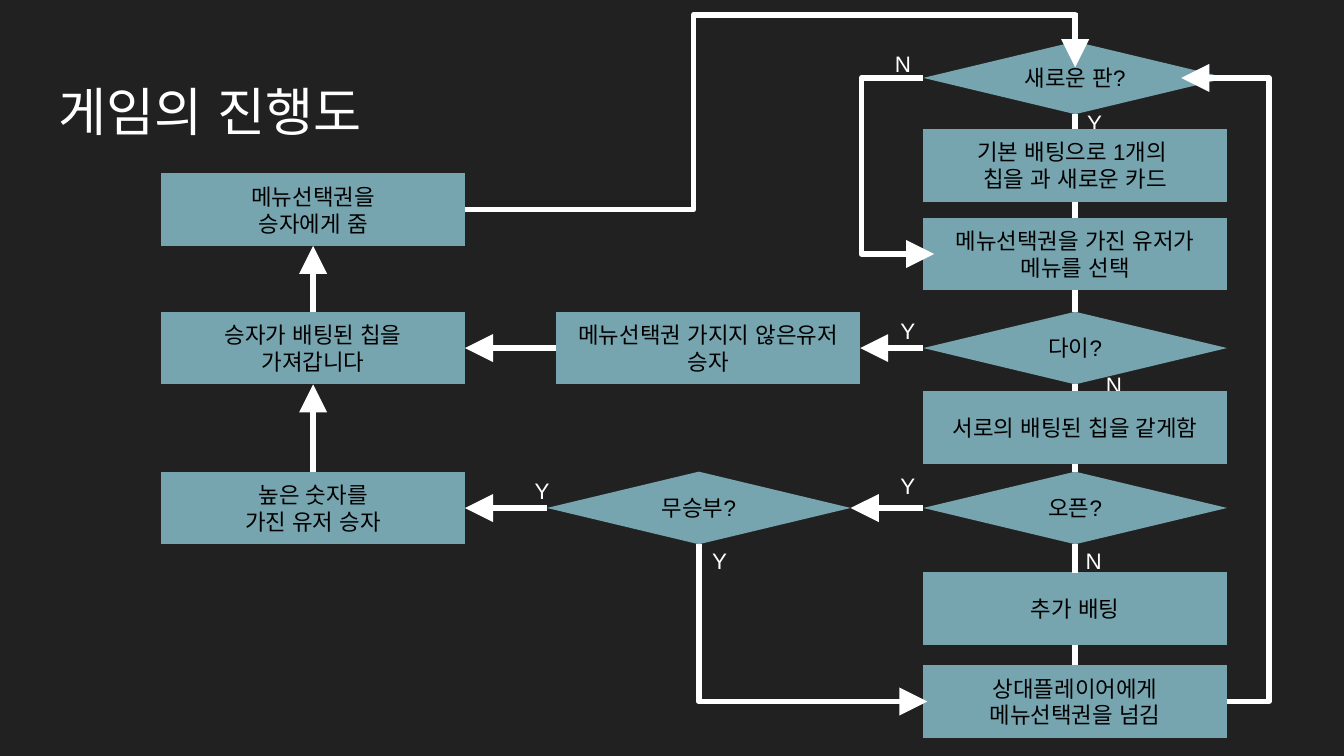
from typing import NamedTuple

from lxml.etree import SubElement
from pptx import Presentation
from pptx.dml.color import RGBColor
from pptx.enum.shapes import MSO_CONNECTOR, MSO_SHAPE as Preset
from pptx.enum.text import MSO_ANCHOR as Anchor, PP_ALIGN as Align
from pptx.oxml.ns import qn
from pptx.util import Pt

PX = 9144  # 100 px to the inch
SLIDE_W = 1000
INSET = 10
BLOCK_W, BLOCK_H = 226, 54
LABEL_W, LABEL_H = 71, 52
FONT = "Arial"
BACKGROUND, TEAL, WHITE, BLACK = "212121", "76A5AF", "FFFFFF", "000000"
PROCESS, DECISION = Preset.FLOWCHART_PROCESS, Preset.FLOWCHART_DECISION

# Columns of the chart
WINNER_X, DRAW_X, FOLD_X, TURN_X = 120, 407, 414, 687
TURN_MID = TURN_X + BLOCK_W // 2
WINNER_MID = WINNER_X + BLOCK_W // 2
WINNER_RIGHT = WINNER_X + BLOCK_W
TURN_RIGHT = TURN_X + BLOCK_W


class Block(NamedTuple):
    x: int
    y: int
    text: str  # "\n" starts a paragraph, "|" breaks a line
    preset: Preset = PROCESS


class Label(NamedTuple):
    x: int
    y: int
    text: str


class Link(NamedTuple):
    start: tuple[int, int]
    end: tuple[int, int]
    arrow: bool = True


BLOCKS = [
    # Course of a turn
    Block(TURN_X, 31, "새로운 판?", DECISION),
    Block(TURN_X, 96, "기본 배팅으로 1개의 \n칩을 과 새로운 카드"),
    Block(TURN_X, 162, "메뉴선택권을 가진 유저가 메뉴를 선택"),
    Block(TURN_X, 232, "다이?", DECISION),
    Block(TURN_X, 291, "서로의 배팅된 칩을 같게함"),
    Block(TURN_X, 351, "오픈?", DECISION),
    Block(TURN_X, 426, "추가 배팅"),
    Block(TURN_X, 495, "상대플레이어에게|메뉴선택권을 넘김"),
    # Outcome
    Block(FOLD_X, 232, "메뉴선택권 가지지 않은유저 승자"),
    Block(DRAW_X, 351, "무승부?", DECISION),
    Block(WINNER_X, 351, "높은 숫자를|가진 유저 승자"),
    Block(WINNER_X, 232, "승자가 배팅된 칩을\n가져갑니다"),
    Block(WINNER_X, 129, "메뉴선택권을\n승자에게 줌"),
]

LABELS = [
    Label(656, 27, "N"),
    Label(799, 71, "Y"),
    Label(660, 226, "Y"),
    Label(813, 266, "N"),
    Label(660, 341, "Y"),
    Label(798, 397, "N"),
    Label(388, 345, "Y"),
    Label(520, 397, "Y"),
]

ARROWS = [
    Link((938, 58), (879, 58)),
    Link((800, 10), (800, 50)),
    Link((658, 189), (695, 189)),
    Link((645, 522), (690, 522)),
    Link((TURN_X, 259), (FOLD_X + BLOCK_W, 259)),
    Link((TURN_X, 378), (DRAW_X + BLOCK_W, 378)),
    Link((FOLD_X, 259), (WINNER_RIGHT, 259)),
    Link((DRAW_X, 378), (WINNER_RIGHT, 378)),
    Link((WINNER_MID, 351), (WINNER_MID, 286)),
    Link((WINNER_MID, 232), (WINNER_MID, 183)),
]

ROUTES = [
    [(TURN_RIGHT, 522), (944, 522), (944, 58), (TURN_RIGHT, 58)],
    [(TURN_X, 58), (641, 58), (641, 189), (TURN_X, 189)],
    [(520, 405), (520, 522), (TURN_X, 522)],
    [(WINNER_RIGHT, 156), (516, 156), (516, 11), (TURN_MID, 11), (TURN_MID, 31)],
]


def color(value: str) -> RGBColor:
    return RGBColor.from_string(value)


def write(shape, text: str, size: int, fill: str, align=Align.LEFT, anchor=Anchor.TOP) -> None:
    frame = shape.text_frame
    frame.word_wrap = True
    frame.vertical_anchor = anchor
    frame.margin_left = frame.margin_right = INSET * PX
    frame.margin_top = frame.margin_bottom = INSET * PX
    for i, content in enumerate(text.split("\n")):
        paragraph = frame.add_paragraph() if i else frame.paragraphs[0]
        paragraph.alignment = align
        for j, line in enumerate(content.split("|")):
            if j:
                paragraph.add_line_break()
            run = paragraph.add_run()
            run.text = line
            run.font.size = Pt(size)
            run.font.color.rgb = color(fill)
            run.font.name = FONT
            # Hangul takes the East Asian typeface
            SubElement(run.font._element, qn("a:ea"), typeface=FONT)


def add_text(slide, x: int, y: int, w: int, h: int, text: str, size: int) -> None:
    box = slide.shapes.add_textbox(x * PX, y * PX, w * PX, h * PX)
    write(box, text, size, WHITE)


def add_block(slide, block: Block) -> None:
    shape = slide.shapes.add_shape(
        block.preset, block.x * PX, block.y * PX, BLOCK_W * PX, BLOCK_H * PX)
    shape.shadow.inherit = False
    shape.fill.solid()
    shape.fill.fore_color.rgb = color(TEAL)
    shape.line.fill.background()
    write(shape, block.text, 12, BLACK, Align.CENTER, Anchor.MIDDLE)


def style_line(line) -> None:
    line.color.rgb = color(WHITE)
    line.width = Pt(3)


def add_link(slide, link: Link) -> None:
    (x1, y1), (x2, y2) = link.start, link.end
    connector = slide.shapes.add_connector(
        MSO_CONNECTOR.STRAIGHT, x1 * PX, y1 * PX, x2 * PX, y2 * PX)
    style_line(connector.line)
    properties = connector._element.spPr
    if link.arrow:
        SubElement(properties.find(qn("a:ln")), qn("a:tailEnd"),
                   type="triangle", w="lg", len="lg")
    SubElement(properties, qn("a:effectLst"))


def add_route(slide, points: list[tuple[int, int]]) -> None:
    builder = slide.shapes.build_freeform(*points[0], scale=PX)
    builder.add_line_segments(points[1:], close=False)
    route = builder.convert_to_shape()
    route.shadow.inherit = False
    route.fill.background()
    style_line(route.line)
    SubElement(route._element.spPr.find(qn("a:ln")), qn("a:round"))


def main() -> None:
    deck = Presentation()
    deck.slide_width = SLIDE_W * PX
    deck.slide_height = deck.slide_width * 9 // 16
    slide = deck.slides.add_slide(deck.slide_layouts[6])
    slide.background.fill.solid()
    slide.background.fill.fore_color.rgb = color(BACKGROUND)

    # Title and branch labels
    add_text(slide, 34, 49, 932, 63, "게임의 진행도", 28)
    for label in LABELS:
        add_text(slide, label.x, label.y, LABEL_W, LABEL_H, label.text, 12)

    # Routes around the chart, then its blocks
    for points in ROUTES:
        add_route(slide, points)
    for block in BLOCKS:
        add_block(slide, block)

    # Joints between neighbours of the turn column
    turn = [block for block in BLOCKS if block.x == TURN_X]
    for upper, lower in zip(turn, turn[1:]):
        add_link(slide, Link((TURN_MID, upper.y + BLOCK_H), (TURN_MID, lower.y), False))
    for arrow in ARROWS:
        add_link(slide, arrow)

    deck.save("out.pptx")


if __name__ == "__main__":
    main()
